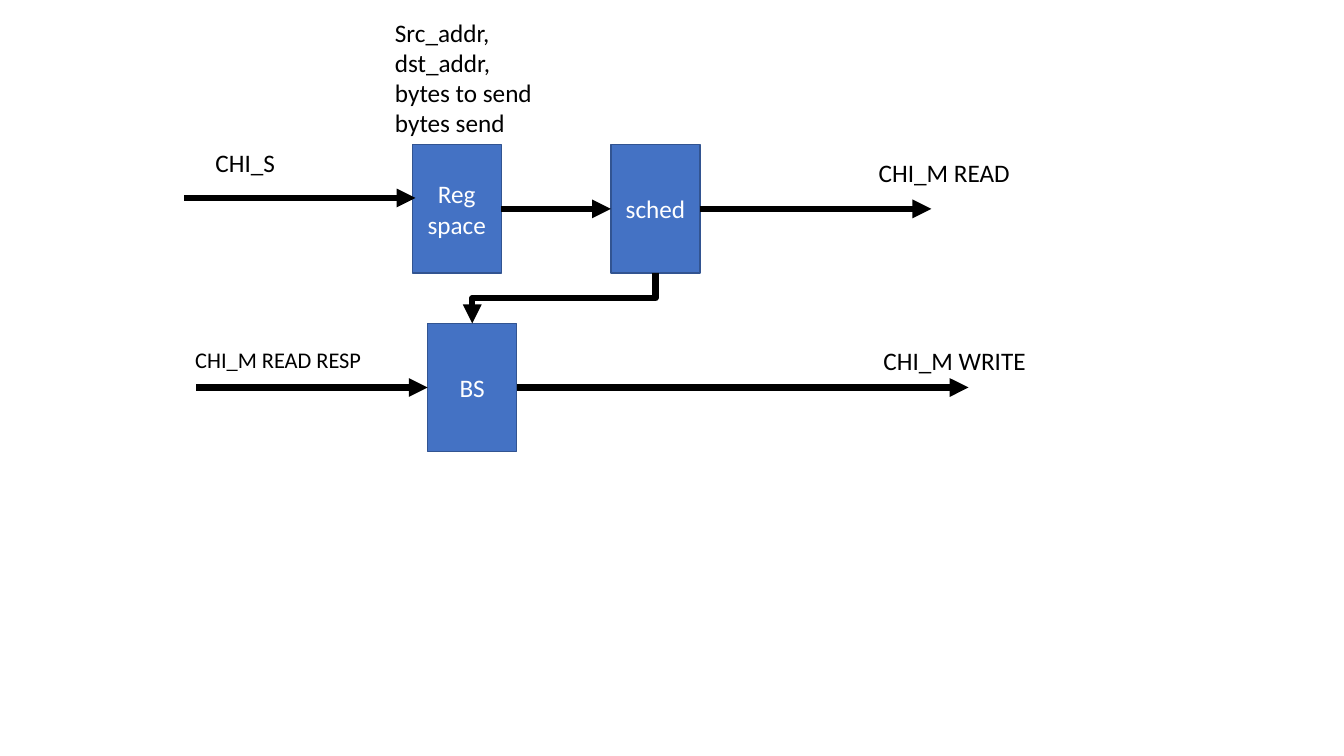
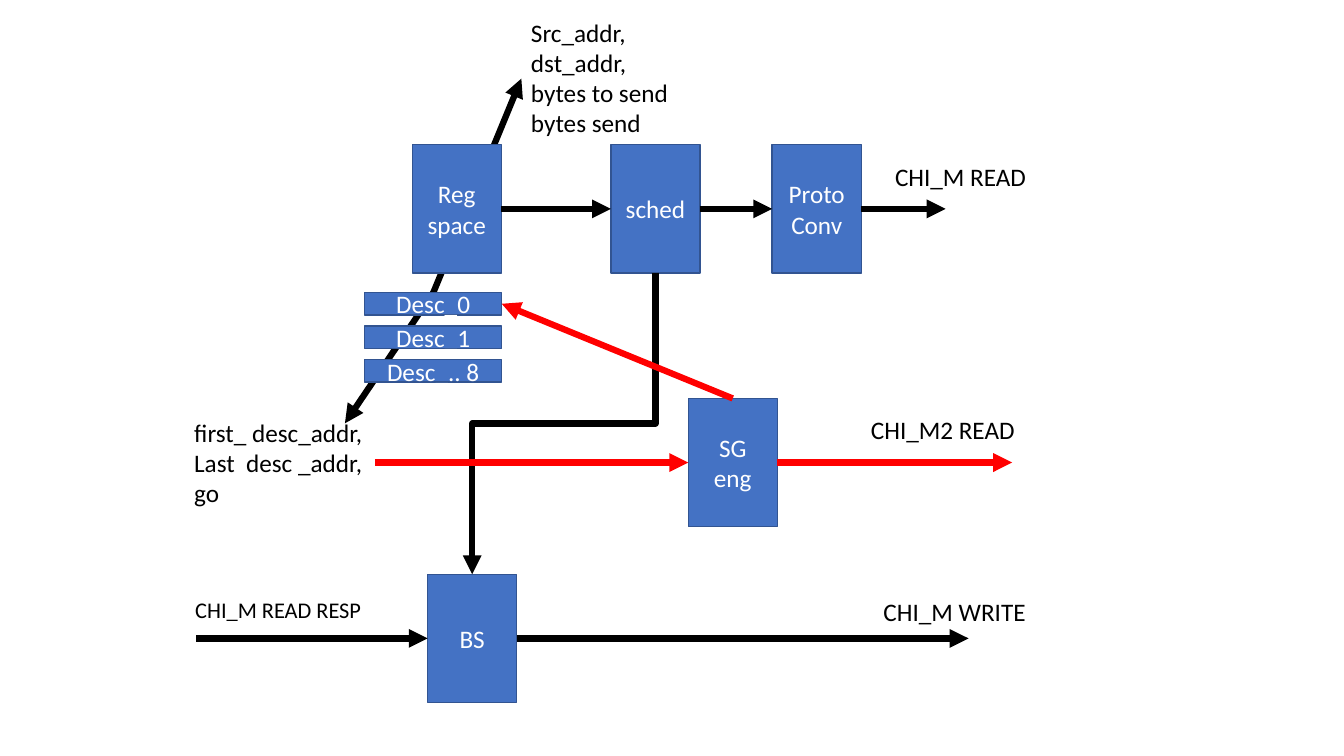
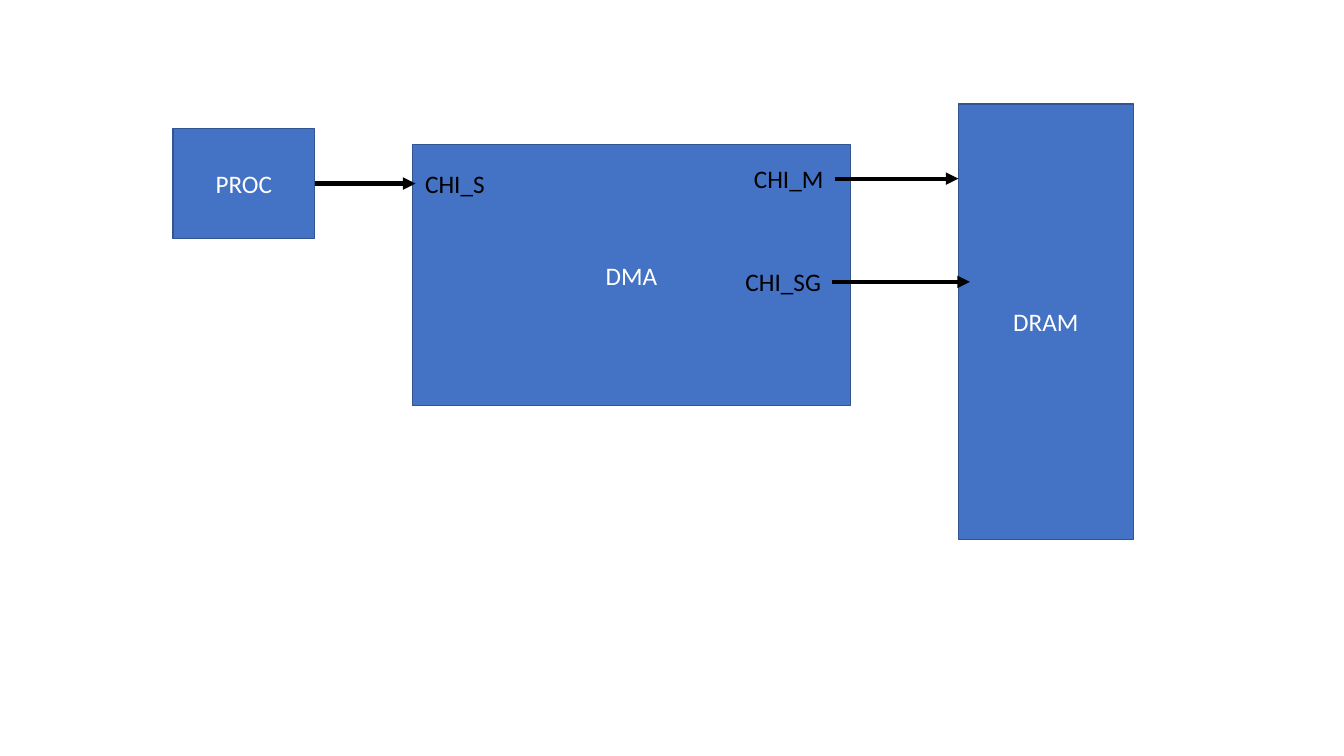
from typing import Any, NamedTuple

from lxml import etree
from pptx import Presentation
from pptx.dml.color import RGBColor
from pptx.enum.shapes import MSO_CONNECTOR, MSO_SHAPE
from pptx.enum.text import MSO_ANCHOR, MSO_AUTO_SIZE, PP_ALIGN
from pptx.oxml.ns import qn
from pptx.util import Pt

STRAIGHT = MSO_CONNECTOR.STRAIGHT
ELBOW = MSO_CONNECTOR.ELBOW
RECTANGLE = MSO_SHAPE.RECTANGLE
MIDDLE = MSO_ANCHOR.MIDDLE
GROW = MSO_AUTO_SIZE.SHAPE_TO_FIT_TEXT
LEFT = PP_ALIGN.LEFT
CENTER = PP_ALIGN.CENTER

FONT = "Calibri"
BLUE = "4472C4"
DARK_BLUE = "325491"
BLACK = "000000"
WHITE = "FFFFFF"
RED = "FF0000"

TOP_SIDE, LEFT_SIDE, BOTTOM_SIDE, RIGHT_SIDE = range(4)
UNIT_WIDTH, UNIT_HEIGHT = 63.6, 91.6
ROW_TOP = 103.4
ROW_MIDDLE = ROW_TOP + UNIT_HEIGHT / 2
REGISTER_LEFT = 294.5


class Dock(NamedTuple):
    block: Any
    side: int

    def point(self):
        block = self.block
        left, top = block.left.pt, block.top.pt
        width, height = block.width.pt, block.height.pt
        return {
            TOP_SIDE: (left + width / 2, top),
            LEFT_SIDE: (left, top + height / 2),
            BOTTOM_SIDE: (left + width / 2, top + height),
            RIGHT_SIDE: (left + width, top + height / 2),
        }[self.side]


def rgb(value):
    return RGBColor.from_string(value)


def write_text(text_frame, text, size=18, color=BLACK, align=LEFT):
    text_frame.text = text
    for paragraph in text_frame.paragraphs:
        paragraph.alignment = align
        for run in paragraph.runs:
            run.font.name = FONT
            run.font.size = Pt(size)
            run.font.color.rgb = rgb(color)


def add_block(slide, text, left, top, width=UNIT_WIDTH, height=UNIT_HEIGHT):
    block = slide.shapes.add_shape(RECTANGLE, Pt(left), Pt(top), Pt(width), Pt(height))
    block.shadow.inherit = False
    block.fill.solid()
    block.fill.fore_color.rgb = rgb(BLUE)
    block.line.color.rgb = rgb(DARK_BLUE)
    block.line.width = Pt(1)
    block.text_frame.vertical_anchor = MIDDLE
    write_text(block.text_frame, text, color=WHITE, align=CENTER)
    return block


def add_label(slide, text, left, top, width, height=29, size=18):
    label = slide.shapes.add_textbox(Pt(left), Pt(top), Pt(width), Pt(height))
    label.text_frame.word_wrap = False
    label.text_frame.auto_size = GROW
    write_text(label.text_frame, text, size=size)


def draw_connector(slide, kind, start, end, color, width):
    connector = slide.shapes.add_connector(kind, *(Pt(value) for value in (*start, *end)))
    connector.line.color.rgb = rgb(color)
    connector.line.width = Pt(width)
    properties = connector.element.spPr
    etree.SubElement(properties.find(qn("a:ln")), qn("a:tailEnd"), type="triangle")
    etree.SubElement(properties, qn("a:effectLst"))
    return connector


def add_arrow(slide, start, end, color=BLACK, width=4.5):
    start_point = start.point() if isinstance(start, Dock) else start
    end_point = end.point() if isinstance(end, Dock) else end
    connector = draw_connector(slide, STRAIGHT, start_point, end_point, color, width)
    if isinstance(start, Dock):
        connector.begin_connect(start.block, start.side)
    if isinstance(end, Dock):
        connector.end_connect(end.block, end.side)


def add_down_left_elbow(slide, upper, lower):
    start_x, start_y = Dock(upper, BOTTOM_SIDE).point()
    end_x, end_y = Dock(lower, TOP_SIDE).point()
    center_x, center_y = (start_x + end_x) / 2, (start_y + end_y) / 2
    half_drop, half_shift = (end_y - start_y) / 2, (start_x - end_x) / 2
    connector = draw_connector(
        slide,
        ELBOW,
        (center_x - half_drop, center_y - half_shift),
        (center_x + half_drop, center_y + half_shift),
        BLACK,
        4.5,
    )
    connector.element.spPr.find(qn("a:xfrm")).set("rot", "5400000")


def add_transfer_core(slide, fields_left, stream_top):
    registers = add_block(slide, "Reg\vspace", REGISTER_LEFT, ROW_TOP)
    scheduler = add_block(slide, "sched", 436.4, ROW_TOP)
    stream = add_block(slide, "BS", 305.5, stream_top)
    stream_middle = stream_top + UNIT_HEIGHT / 2

    add_arrow(slide, Dock(registers, RIGHT_SIDE), Dock(scheduler, LEFT_SIDE))
    add_arrow(slide, (140.2, stream_middle), Dock(stream, LEFT_SIDE))
    add_down_left_elbow(slide, scheduler, stream)
    add_arrow(slide, Dock(stream, RIGHT_SIDE), (691.8, stream_middle))

    fields = "Src_addr,\vdst_addr,\vbytes to send\vbytes send"
    add_label(slide, fields, fields_left, 8.6, 113.8, height=94.4)
    add_label(slide, "CHI_M READ RESP", 132.4, stream_top + 12.4, 134.6, height=26.6, size=16)
    add_label(slide, "CHI_M WRITE", 624, stream_top + 12.4, 117.4)
    return scheduler


def build_simple_transfer(slide):
    scheduler = add_transfer_core(slide, 275, 231)
    add_arrow(slide, Dock(scheduler, RIGHT_SIDE), (665.3, ROW_MIDDLE))
    add_label(slide, "CHI_M READ", 620.6, 108.8, 109.4)
    add_arrow(slide, (131.6, 141.4), (296.8, 141.4))
    add_label(slide, "CHI_S", 146.8, 101.6, 57.6)


def build_descriptor_transfer(slide):
    for tip in ((246.4, 302.4), (372.4, 56.2)):
        add_arrow(slide, (309.6, 208.8), tip)
    scheduler = add_transfer_core(slide, 372.2, 410.2)

    descriptors = [
        add_block(slide, text, 260.4, 209 + 24 * row, width=98, height=16)
        for row, text in enumerate(("Desc_0", "Desc_1", "Desc_.. 8"))
    ]

    converter = add_block(slide, "Proto Conv", 551.6, ROW_TOP)
    add_arrow(slide, Dock(scheduler, RIGHT_SIDE), Dock(converter, LEFT_SIDE))
    add_arrow(slide, Dock(converter, RIGHT_SIDE), (675.4, ROW_MIDDLE))
    add_label(slide, "CHI_M READ", 632.2, 111.9, 109.4)

    descriptor_fields = "first_ desc_addr,\nLast  desc _addr,\vgo"
    add_label(slide, descriptor_fields, 131.6, 294.5, 136.2, height=72.7)
    add_label(slide, "CHI_M2 READ", 615, 292.6, 118)

    engine = add_block(slide, "SG\veng", 491.6, 284.6)
    engine_middle = 284.6 + UNIT_HEIGHT / 2
    add_arrow(slide, Dock(engine, RIGHT_SIDE), (723, engine_middle), color=RED)
    add_arrow(slide, (267.8, engine_middle), Dock(engine, LEFT_SIDE), color=RED)
    add_arrow(slide, Dock(engine, TOP_SIDE), Dock(descriptors[0], RIGHT_SIDE), color=RED)


def build_system(slide):
    add_block(slide, "DMA", REGISTER_LEFT, ROW_TOP, width=313, height=186.4)
    memory = add_block(slide, "DRAM", 684.6, 74.2, width=125, height=311.2)
    processor = add_block(slide, "PROC", 123.6, 91.8, width=101.2, height=78.6)

    add_label(slide, "CHI_M", 531.4, 113.2, 64.8)
    add_label(slide, "CHI_S", 296.6, 116.8, 57.6)
    add_label(slide, "CHI_SG", 525.4, 187, 69.2)

    add_arrow(slide, Dock(processor, RIGHT_SIDE), (296.8, 131.1), width=3)
    add_arrow(slide, (596.2, 127.6), (memory.left.pt, 127.6), width=3)
    add_arrow(slide, (594.6, 201.4), (692.8, 201.4), width=3)


def main():
    presentation = Presentation()
    presentation.slide_width = Pt(960)
    presentation.slide_height = Pt(540)
    blank = presentation.slide_layouts[6]
    for build in (build_simple_transfer, build_descriptor_transfer, build_system):
        build(presentation.slides.add_slide(blank))
    presentation.save("out.pptx")


main()
